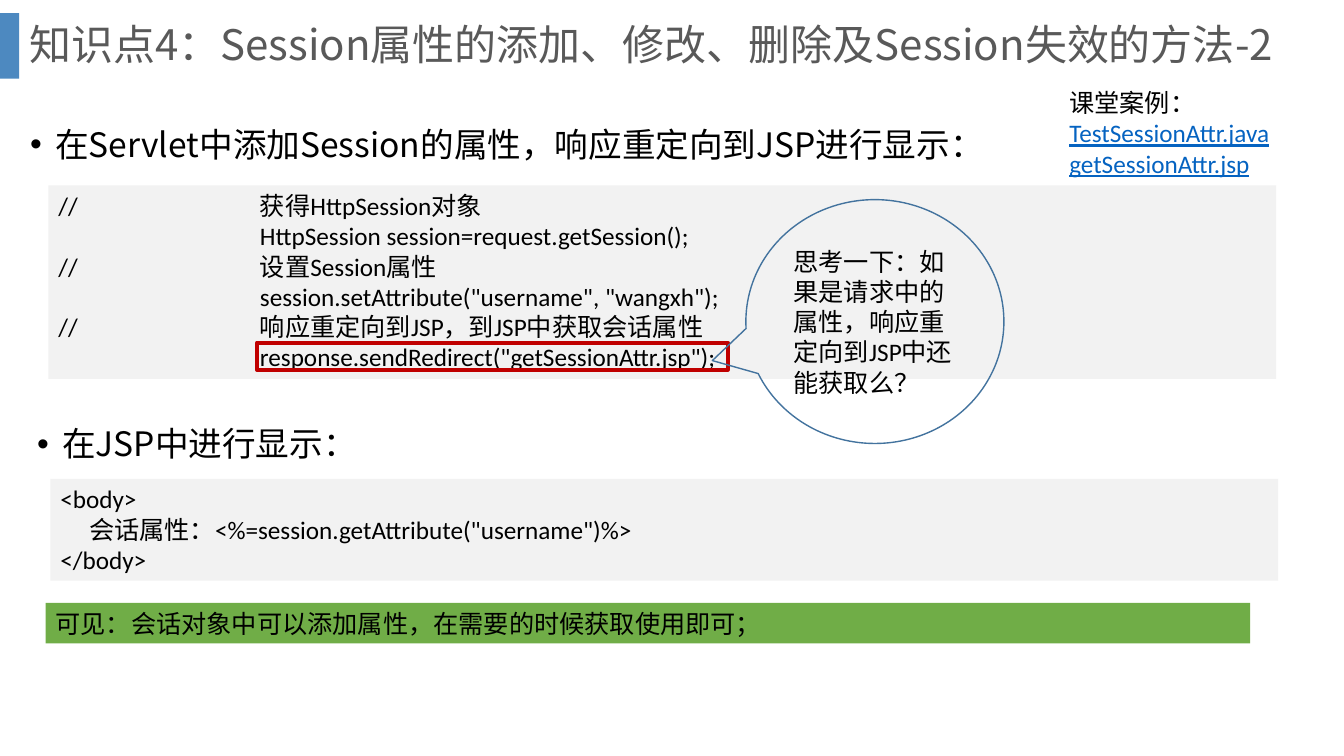
from lxml import etree
from pptx import Presentation
from pptx.dml.color import RGBColor
from pptx.enum.shapes import MSO_SHAPE
from pptx.enum.text import MSO_ANCHOR, MSO_AUTO_SIZE, PP_ALIGN
from pptx.oxml.ns import qn
from pptx.util import Pt

RECTANGLE = MSO_SHAPE.RECTANGLE
CALLOUT = MSO_SHAPE.OVAL_CALLOUT
TOP, MIDDLE = MSO_ANCHOR.TOP, MSO_ANCHOR.MIDDLE
LEFT = PP_ALIGN.LEFT
NO_AUTOFIT = MSO_AUTO_SIZE.NONE
CJK_FONT, LATIN_FONT = "Noto Sans CJK SC", "Calibri"
COLORS = {"accent": "2E75B6", "title": "595959", "text": "000000", "panel": "F2F2F2",
          "link": "0563C1", "summary": "70AD47", "highlight": "C00000", "callout": "43739E"}

TITLE = "知识点4：Session属性的添加、修改、删除及Session失效的方法-2"
TITLE_AREA = (13.7, 0, 911.5, 67)
ACCENT_AREA = (0, 9.4, 13.7, 46.8)
BULLETS = [
    ("在Servlet中添加Session的属性，响应重定向到JSP进行显示：", (14.4, 70.6, 928.8, 61.2)),
    ("在JSP中进行显示：", (19.4, 284.4, 940.3, 61.2)),
]
PANELS = [
    (["//\t\t获得HttpSession对象",
      "\t\tHttpSession session=request.getSession();",
      "//\t\t设置Session属性",
      "\t\tsession.setAttribute(\"username\", \"wangxh\");",
      "//\t\t响应重定向到JSP，到JSP中获取会话属性",
      "\t\tresponse.sendRedirect(\"getSessionAttr.jsp\");"],
     "panel", (34.6, 132.5, 877, 138.2)),
    (["<body>",
      "会话属性：<%=session.getAttribute(\"username\")%>",
      "</body>"],
     "panel", (36, 342, 877, 72.7)),
    (["可见：会话对象中可以添加属性，在需要的时候获取使用即可；"],
     "summary", (32.6, 430.6, 860.4, 29)),
]
INDENTED_LINE = PANELS[1][0][1]
CASE_FILES = [[("课堂案例：", "text"), ("TestSessionAttr.java", "link")],
              [("getSessionAttr.jsp", "link")]]
CASE_AREA = (756.7, 59, 187.2, 72.7)
HIGHLIGHT_AREA = (183.6, 244.8, 336.2, 19.4)
QUESTION = "思考一下：如果是请求中的属性，响应重定向到JSP中还能获取么？"
QUESTION_AREA = (532.8, 142.6, 184.3, 174.2)
CALLOUT_TIP = (-0.63, 0.16)
TAB_STEP = 72


def color(name):
    return RGBColor.from_string(COLORS[name])


def points(area):
    return [Pt(value) for value in area]


def style_span(span, size=18, font=LATIN_FONT, color_name="text"):
    span.font.size = Pt(size)
    span.font.name = font
    span.font.color.rgb = color(color_name)
    east_asian = etree.SubElement(span.font._element, qn("a:ea"))
    east_asian.set("typeface", CJK_FONT)


def prepare_frame(shape, anchor=TOP):
    frame = shape.text_frame
    frame.word_wrap = True
    frame.auto_size = NO_AUTOFIT
    frame.vertical_anchor = anchor
    return frame


def fill_frame(frame, lines):
    frame.text = "\n".join(lines)
    for para in frame.paragraphs:
        para.alignment = LEFT
        for span in para.runs:
            style_span(span)


def add_box(slide, area, fill=None, line=None, width=1, kind=RECTANGLE):
    box = slide.shapes.add_shape(kind, *points(area))
    box.shadow.inherit = False
    if fill:
        box.fill.solid()
        box.fill.fore_color.rgb = color(fill)
    else:
        box.fill.background()
    if line:
        box.line.color.rgb = color(line)
        box.line.width = Pt(width)
    else:
        box.line.fill.background()
    return box


def add_tab_stops(para):
    stops = etree.SubElement(para._p.get_or_add_pPr(), qn("a:tabLst"))
    for number in (1, 2):
        etree.SubElement(stops, qn("a:tab"), pos=str(Pt(number * TAB_STEP)), algn="l")


def add_bullet(slide, text, area):
    box = slide.shapes.add_textbox(*points(area))
    para = prepare_frame(box).paragraphs[0]
    para.text = text
    para.line_spacing = 1.5
    para.space_before = Pt(10)
    style_span(para.runs[0], 24, CJK_FONT)
    properties = para._p.get_or_add_pPr()
    properties.set("marL", str(Pt(18)))
    properties.set("indent", str(-Pt(18)))
    etree.SubElement(properties, qn("a:buFont"), typeface="Arial")
    etree.SubElement(properties, qn("a:buChar"), char="•")


def add_title(slide):
    title = slide.shapes.title
    title.left, title.top, title.width, title.height = points(TITLE_AREA)
    para = prepare_frame(title, MIDDLE).paragraphs[0]
    para.text = TITLE
    para.alignment = LEFT
    para.line_spacing = 0.9
    style_span(para.runs[0], 30, CJK_FONT, "title")


def add_panel(slide, lines, fill, area):
    frame = prepare_frame(add_box(slide, area, fill))
    fill_frame(frame, lines)
    for para in frame.paragraphs:
        if "\t" in para.text:
            add_tab_stops(para)
        if para.text == INDENTED_LINE:
            para._p.get_or_add_pPr().set("marL", str(Pt(20.5)))


def add_case_files(slide):
    frame = prepare_frame(slide.shapes.add_textbox(*points(CASE_AREA)))
    for index, pieces in enumerate(CASE_FILES):
        para = frame.add_paragraph() if index else frame.paragraphs[0]
        for text, color_name in pieces:
            span = para.add_run()
            span.text = text
            style_span(span, color_name=color_name)
            span.font.underline = color_name == "link"


def main():
    deck = Presentation()
    deck.slide_width, deck.slide_height = Pt(960), Pt(540)
    slide = deck.slides.add_slide(deck.slide_layouts[5])

    accent = add_box(slide, ACCENT_AREA, "accent")
    fill_color = accent._element.spPr.find(qn("a:solidFill"))[0]
    etree.SubElement(fill_color, qn("a:alpha"), val="85000")
    add_title(slide)
    for text, area in BULLETS:
        add_bullet(slide, text, area)
    for lines, fill, area in PANELS:
        add_panel(slide, lines, fill, area)
    add_case_files(slide)
    add_box(slide, HIGHLIGHT_AREA, line="highlight", width=3)

    callout = add_box(slide, QUESTION_AREA, line="callout", kind=CALLOUT)
    for index, offset in enumerate(CALLOUT_TIP):
        callout.adjustments[index] = offset
    fill_frame(prepare_frame(callout, MIDDLE), [QUESTION])

    deck.save("out.pptx")


if __name__ == "__main__":
    main()
